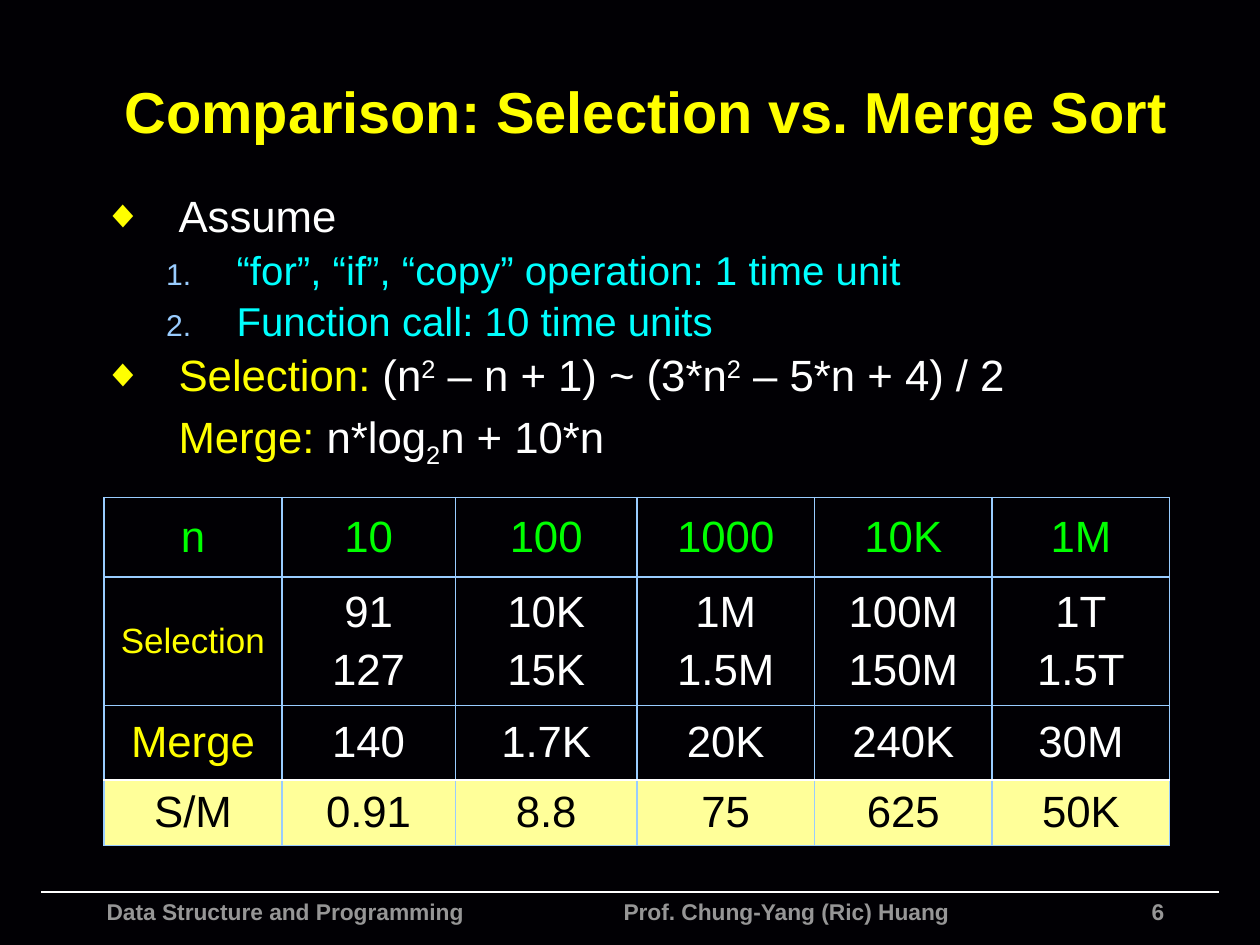
from lxml import etree
from pptx import Presentation
from pptx.dml.color import RGBColor
from pptx.enum.shapes import MSO_CONNECTOR
from pptx.enum.text import MSO_ANCHOR, PP_ALIGN
from pptx.oxml.ns import qn
from pptx.util import Cm, Pt

LEFT, MID, RIGHT = PP_ALIGN.LEFT, PP_ALIGN.CENTER, PP_ALIGN.RIGHT
TOP, CENTRE = MSO_ANCHOR.TOP, MSO_ANCHOR.MIDDLE
STRAIGHT = MSO_CONNECTOR.STRAIGHT
FONT = "Arial"
WHITE, YELLOW, CYAN, GREEN = "FFFFFF", "FFFF00", "00FFFF", "00FF00"
BLACK, NIGHT, GREY, SKY, CREAM = "000000", "010004", "969696", "99CCFF", "FFFF99"

# Content
TITLE = "Comparison: Selection vs. Merge Sort"
# Each point: kind, size, runs of (text, colour, baseline percent)
POINTS = [
    ("mark", 25, [("Assume", WHITE, 0)]),
    ("num", 23, [("“for”, “if”, “copy” operation: 1 time unit", CYAN, 0)]),
    ("num", 23, [("Function call: 10 time units", CYAN, 0)]),
    ("mark", 25, [("Selection:", YELLOW, 0), (" (n", WHITE, 0),
                  ("2", WHITE, 30), (" – n + 1) ~ (3*n", WHITE, 0),
                  ("2", WHITE, 30), (" – 5*n + 4) / 2", WHITE, 0)]),
    ("plain", 25, [("Merge:", YELLOW, 0), (" n*log", WHITE, 0),
                   ("2", WHITE, -25), ("n + 10*n", WHITE, 0)]),
]
# Left margin, first-line indent, bullet colour, bullet size, bullet
KINDS = {
    "mark": (1.52, -1.52, YELLOW, 90, ("buChar", "char", "◆")),
    "num": (2.69, -1.42, SKY, 75, ("buAutoNum", "type", "arabicPeriod")),
    "plain": (1.52, 0, None, 0, ("buNone", None, None)),
}
ROWS = [
    ["n", "10", "100", "1000", "10K", "1M"],
    ["Selection", "91\n127", "10K\n15K", "1M\n1.5M", "100M\n150M", "1T\n1.5T"],
    ["Merge", "140", "1.7K", "20K", "240K", "30M"],
    ["S/M", "0.91", "8.8", "75", "625", "50K"],
]
# Row height, head colour, head size, body colour, fill, top line, bottom line
LOOKS = [
    (1.6, GREEN, 25, GREEN, None, SKY, SKY),
    (2.59, YELLOW, 20, WHITE, None, SKY, SKY),
    (1.5, YELLOW, 25, WHITE, None, SKY, WHITE),
    (1.32, BLACK, 25, BLACK, CREAM, WHITE, SKY),
]
COLS = [3.58, 3.5, 3.66, 3.58, 3.58, 3.58]
FOOT = "Data Structure and Programming\tProf. Chung-Yang (Ric) Huang"


def rgb(code):
    return RGBColor.from_string(code)


def node(base, tag, **attrs):
    item = etree.SubElement(base, qn("a:" + tag))
    for key, val in attrs.items():
        item.set(key, str(val))
    return item


def style(font, size, code=None, bold=False):
    font.name, font.size, font.bold = FONT, Pt(size), bold
    if code:
        font.color.rgb = rgb(code)


def space(para):
    """Space before of a fifth of a line."""
    node(node(para._p.get_or_add_pPr(), "spcBef"), "spcPct", val=20000)


def box(left, top, wide, high):
    frame = slide.shapes.add_textbox(Cm(left), Cm(top), Cm(wide), Cm(high)).text_frame
    frame.word_wrap = True
    frame.vertical_anchor = TOP
    return frame


def bullet(para, kind):
    left, dent, code, size, (tag, key, val) = KINDS[kind]
    props = para._p.get_or_add_pPr()
    props.set("marL", str(Cm(left)))
    props.set("indent", str(Cm(dent)))
    if code:
        node(node(props, "buClr"), "srgbClr", val=code)
        node(props, "buSzPct", val=size * 1000)
        node(props, "buFont", typeface=FONT)
    node(props, tag, **({key: val} if key else {}))


def edge(cell, side, code):
    line = node(cell._tc.get_or_add_tcPr(), "ln" + side, w=Pt(1))
    node(node(line, "solidFill"), "srgbClr", val=code)


deck = Presentation()
deck.slide_width, deck.slide_height = Cm(25.4), Cm(19.05)
slide = deck.slides.add_slide(deck.slide_layouts[5])
slide.background.fill.solid()
slide.background.fill.fore_color.rgb = rgb(NIGHT)

# Footer
rule = slide.shapes.add_connector(STRAIGHT, Cm(0.83), Cm(17.98), Cm(24.57), Cm(17.98))
rule.line.color.rgb = rgb(WHITE)
rule.line.width = Pt(1)
node(rule._element.spPr, "effectLst")
for text, area, align in [("6", (15.67, 17.98, 8.05, 0.46), RIGHT),
                          (FOOT, (1.9, 17.98, 18.4, 1.07), LEFT)]:
    para = box(*area).paragraphs[0]
    para.alignment = align
    if "\t" in text:
        tabs = node(para._p.get_or_add_pPr(), "tabLst")
        node(tabs, "tab", pos=Cm(10.42), algn="l")
    para.add_run().text = text
    style(para.font, 13, GREY, True)

# Title
head = slide.shapes.title
head.left, head.top, head.width, head.height = Cm(1.93), Cm(0.94), Cm(22.45), Cm(2.57)
head.text_frame.text = TITLE
head.text_frame.vertical_anchor = CENTRE
head.text_frame.margin_left = Cm(0.58)
para = head.text_frame.paragraphs[0]
para.alignment = LEFT
style(para.font, 33, YELLOW, True)

# Points
frame = box(1.83, 3.81, 21.59, 6.02)
for i, (kind, size, runs) in enumerate(POINTS):
    para = frame.add_paragraph() if i else frame.paragraphs[0]
    para.line_spacing = 0.9
    space(para)
    bullet(para, kind)
    style(para.font, size)
    for text, code, shift in runs:
        run = para.add_run()
        run.text = text
        run.font.color.rgb = rgb(code)
        if shift:
            run._r.get_or_add_rPr().set("baseline", str(shift * 1000))

# Table
high = sum(look[0] for look in LOOKS)
grid = slide.shapes.add_table(len(ROWS), len(COLS), Cm(2.1), Cm(10.03),
                              Cm(sum(COLS)), Cm(high)).table
grid.first_row = grid.horz_banding = False
for col, wide in zip(grid.columns, COLS):
    col.width = Cm(wide)
for r, (row, look) in enumerate(zip(ROWS, LOOKS)):
    tall, first, size, code, fill, top, low = look
    grid.rows[r].height = Cm(tall)
    for c, text in enumerate(row):
        cell = grid.cell(r, c)
        cell.text = text
        cell.vertical_anchor = CENTRE
        cell.margin_left = cell.margin_right = Cm(0.13)
        cell.margin_top = cell.margin_bottom = Cm(0.13)
        for side, tint in zip("LRTB", (SKY, SKY, top, low)):
            edge(cell, side, tint)
        if fill:
            cell.fill.solid()
            cell.fill.fore_color.rgb = rgb(fill)
        else:
            cell.fill.background()
        for para in cell.text_frame.paragraphs:
            para.alignment = MID
            space(para)
            style(para.font, 25 if c else size, code if c else first)

deck.save("out.pptx")
